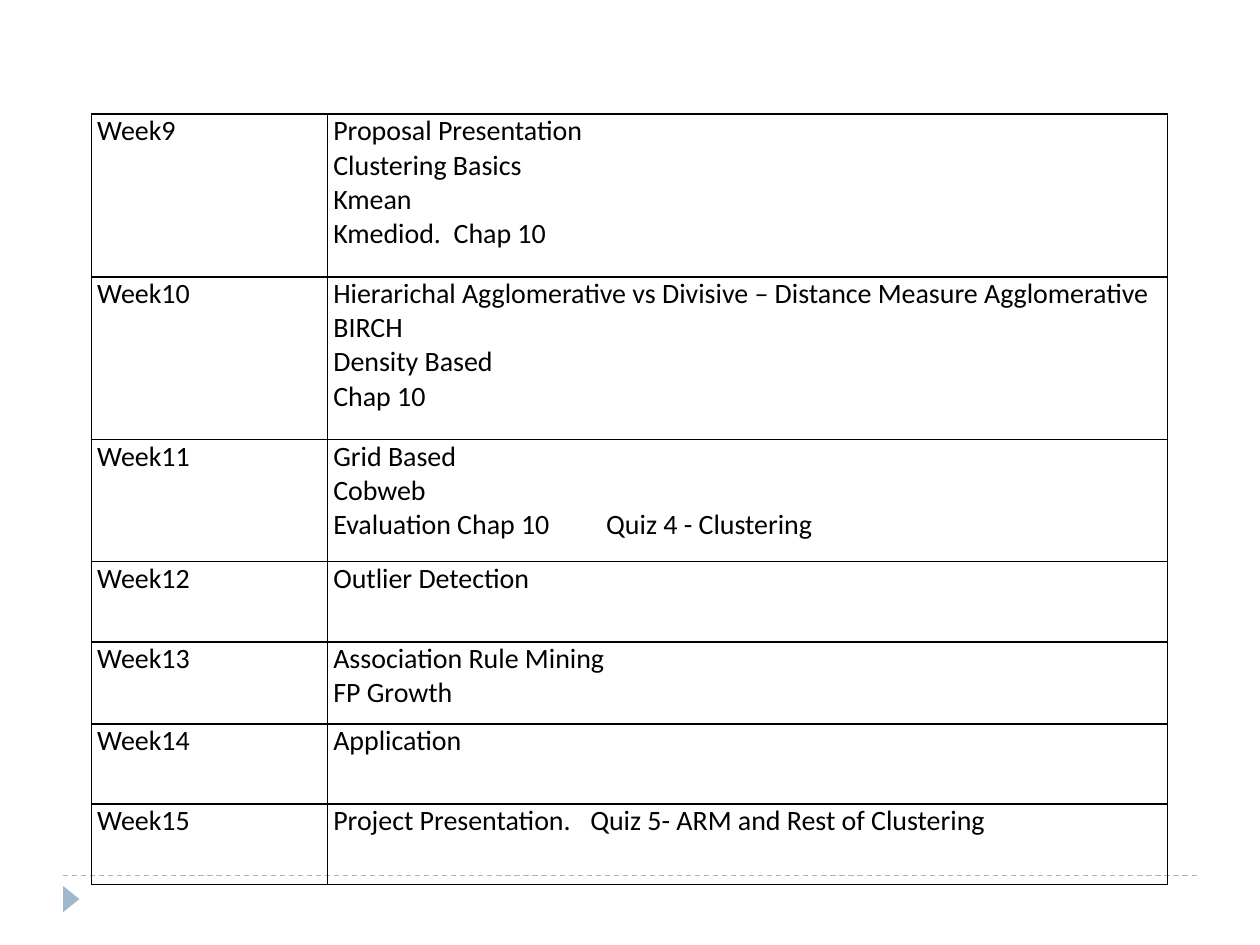
import pptx
import pptx.dml.color
import pptx.enum.dml
import pptx.enum.shapes
import pptx.oxml
import pptx.oxml.ns
import pptx.util
from pptx.util import Cm

ACCENT = "9FB8CD"
INK = "000000"
TEXT_FORMAT = {"name": "Calibri", "size": pptx.util.Pt(16), "bold": False}
CELL_FORMAT = {
    "margin_left": Cm(0.12),
    "margin_right": Cm(0.12),
    "margin_top": 0,
    "margin_bottom": 0,
}
COLUMN_WIDTHS = [4.76, 16.94]
SCHEDULE = [
    ("Week9", 3.28, ["Proposal Presentation", "Clustering Basics", "Kmean", "Kmediod.  Chap 10"]),
    ("Week10", 3.28, [
        "Hierarichal Agglomerative vs Divisive – Distance Measure Agglomerative BIRCH",
        "Density Based",
        "Chap 10",
    ]),
    ("Week11", 2.46, ["Grid Based", "Cobweb", "Evaluation Chap 10\tQuiz 4 - Clustering"]),
    ("Week12", 1.62, ["Outlier Detection"]),
    ("Week13", 1.65, ["Association Rule Mining", "FP Growth"]),
    ("Week14", 1.62, ["Application"]),
    ("Week15", 1.62, ["Project Presentation.\tQuiz 5- ARM and Rest of Clustering"]),
]
QUIZ_TABS = {"Week11": 5.5, "Week15": 5.18}


def color(hex_value):
    """Return the colour for a hex string."""
    return pptx.dml.color.RGBColor.from_string(hex_value)


def apply_format(target, values):
    """Set each named attribute on the target."""
    for name, value in values.items():
        setattr(target, name, value)


def add_tab(paragraph, position):
    """Give a paragraph one left tab stop, in centimetres."""
    properties = paragraph._p.get_or_add_pPr()
    tabs = pptx.oxml.parse_xml(
        f'<a:tabLst {pptx.oxml.ns.nsdecls("a")}><a:tab pos="{Cm(position)}" algn="l"/></a:tabLst>'
    )
    properties.append(tabs)


def draw_borders(cell):
    """Draw a thin line on every side of a cell."""
    properties = cell._tc.get_or_add_tcPr()
    for index, side in enumerate(("lnL", "lnR", "lnT", "lnB")):
        border = pptx.oxml.parse_xml(
            f'<a:{side} {pptx.oxml.ns.nsdecls("a")} w="{pptx.util.Pt(1)}">'
            f'<a:solidFill><a:srgbClr val="{INK}"/></a:solidFill></a:{side}>'
        )
        properties.insert(index, border)


def fill_cell(cell, lines, tab=None):
    """Write one paragraph per line into a bordered, unfilled cell."""
    apply_format(cell, CELL_FORMAT)
    cell.fill.background()
    draw_borders(cell)
    cell.text = "\n".join(lines)
    for paragraph in cell.text_frame.paragraphs:
        if tab and "\t" in paragraph.text:
            add_tab(paragraph, tab)
        for run in paragraph.runs:
            apply_format(run.font, TEXT_FORMAT)
            run.font.color.rgb = color(INK)


def add_schedule(slide, left, top, width, height):
    """Place the weekly schedule table in the given box."""
    schedule = slide.shapes.add_table(
        len(SCHEDULE), len(COLUMN_WIDTHS), Cm(left), Cm(top), Cm(width), Cm(height)
    ).table
    apply_format(schedule, {"first_row": False, "horz_banding": False})
    for column, column_width in zip(schedule.columns, COLUMN_WIDTHS):
        column.width = Cm(column_width)
    for row, (week, row_height, topics) in zip(schedule.rows, SCHEDULE):
        row.height = Cm(row_height)
        week_cell, topics_cell = row.cells
        fill_cell(week_cell, [week])
        fill_cell(topics_cell, topics, QUIZ_TABS.get(week))


def add_footer(slide, left, top, width):
    """Place the dashed footer rule with its pointer below the left end."""
    rule = slide.shapes.add_connector(
        pptx.enum.shapes.MSO_CONNECTOR.STRAIGHT, Cm(left), Cm(top), Cm(left + width), Cm(top)
    )
    rule.line.color.rgb = color(ACCENT)
    apply_format(
        rule.line,
        {"width": pptx.util.Pt(0.75), "dash_style": pptx.enum.dml.MSO_LINE.DASH},
    )
    rule._element.spPr.append(
        pptx.oxml.parse_xml(f'<a:effectLst {pptx.oxml.ns.nsdecls("a")}/>')
    )

    pointer = slide.shapes.add_shape(
        pptx.enum.shapes.MSO_SHAPE.ISOSCELES_TRIANGLE,
        Cm(left - 0.1), Cm(top + 0.31), Cm(0.53), Cm(0.33),
    )
    pointer.rotation = 90
    pointer.shadow.inherit = False
    pointer.fill.solid()
    pointer.fill.fore_color.rgb = color(ACCENT)
    pointer.line.fill.background()


def main():
    """Build the course schedule slide."""
    presentation = pptx.Presentation()
    apply_format(presentation, {"slide_width": Cm(25.4), "slide_height": Cm(19.05)})
    slide = presentation.slides.add_slide(presentation.slide_layouts[6])
    add_footer(slide, 1.27, 17.65, 22.86)
    add_schedule(slide, 1.84, 2.3, sum(COLUMN_WIDTHS), sum(row[1] for row in SCHEDULE))
    presentation.save("out.pptx")


if __name__ == "__main__":
    main()
